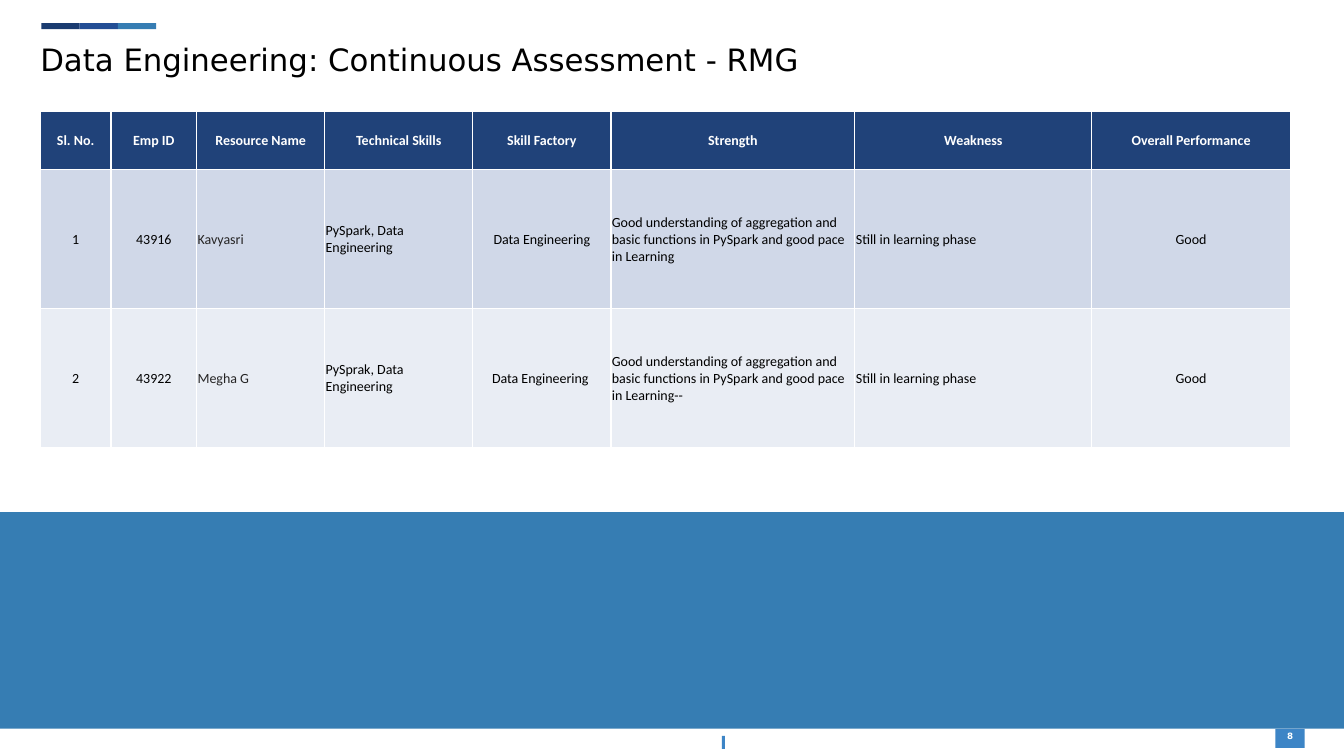
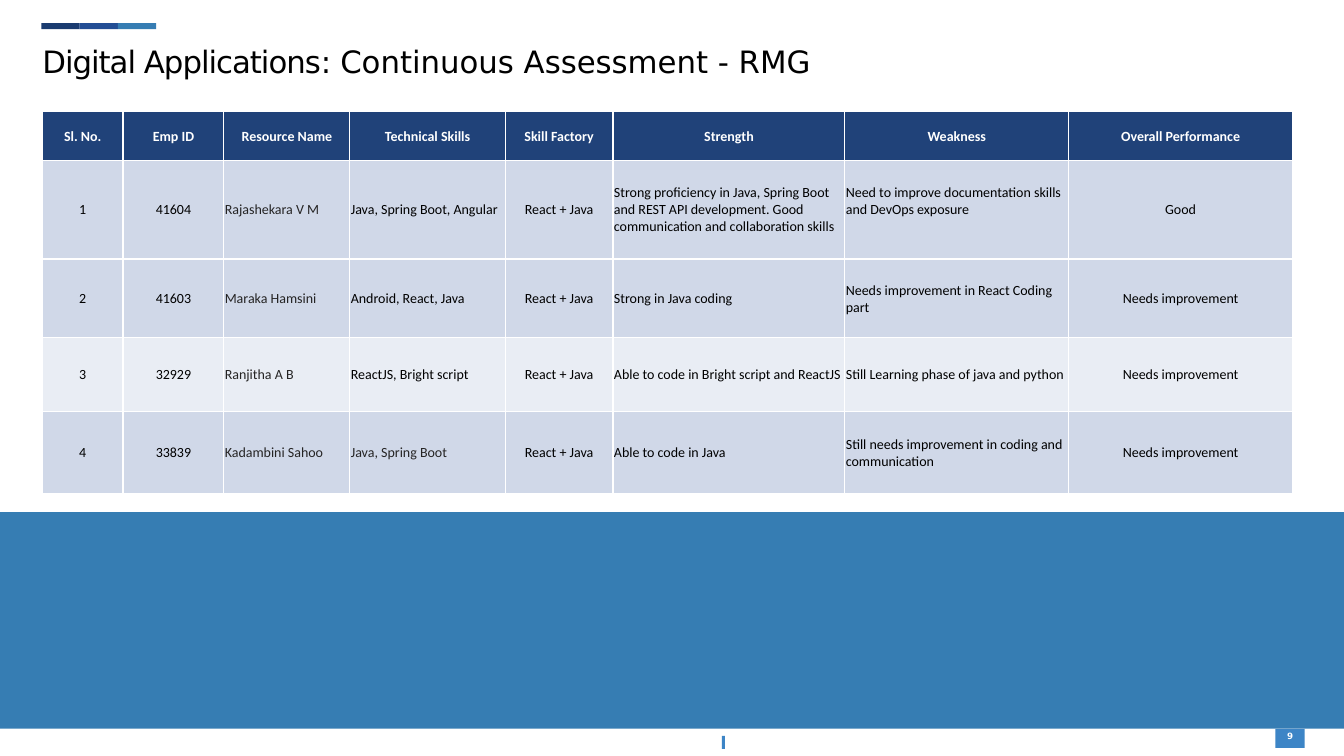
from lxml.etree import SubElement
from pptx import Presentation
from pptx.dml.color import RGBColor
from pptx.enum.shapes import MSO_SHAPE
from pptx.enum.text import MSO_ANCHOR, PP_ALIGN
from pptx.oxml.ns import qn
from pptx.util import Inches, Pt

WHITE, BLACK, GREY = "FFFFFF", "000000", "252424"
NAVY, ROYAL, BLUE, SKY = "1A3B70", "234E95", "367DB3", "3D85C6"
HEAD, DARK, PALE = "204279", "D0D8E8", "E9EDF4"
SANS, BODY = "DejaVu Sans", "Calibri"
WIDE, HIGH = 13.33, 7.5
LABELS = ["Sl. No.", "Emp ID", "Resource Name", "Technical Skills",
          "Skill Factory", "Strength", "Weakness", "Overall Performance"]
NAME = 2
LEFT = {NAME, 3, 5, 6}


def color(value):
    return RGBColor.from_string(value)


def style(font, face, size, value, bold=False):
    font.name = face
    font.size = Pt(size)
    font.bold = bold
    font.color.rgb = color(value)


def inset(item, left, top, right, bottom):
    item.margin_left, item.margin_top = Inches(left), Inches(top)
    item.margin_right, item.margin_bottom = Inches(right), Inches(bottom)


def block(slide, left, top, width, height, value):
    shape = slide.shapes.add_shape(
        MSO_SHAPE.RECTANGLE, Inches(left), Inches(top), Inches(width), Inches(height))
    shape.shadow.inherit = False
    shape.fill.solid()
    shape.fill.fore_color.rgb = color(value)
    shape.line.fill.background()
    return shape


def add_frame(slide, number):
    block(slide, 7.16, 7.3, 0.03, 0.13, SKY)
    for index, value in enumerate([NAVY, ROYAL, BLUE]):
        block(slide, 0.41 + index * 0.38, 0.23, 0.38, 0.06, value)
    block(slide, 0, 5.08, WIDE, 2.15, BLUE)
    frame = block(slide, 12.65, 7.23, 0.29, 0.19, SKY).text_frame
    inset(frame, 0, 0.02, 0, 0)
    frame.vertical_anchor = MSO_ANCHOR.TOP
    frame.text = str(number)
    line = frame.paragraphs[0]
    line.alignment = PP_ALIGN.CENTER
    style(line.runs[0].font, SANS, 6.2, WHITE, True)


def add_title(slide, left, top, width, height, parts):
    frame = slide.shapes.add_textbox(
        Inches(left), Inches(top), Inches(width), Inches(height)).text_frame
    frame.word_wrap = True
    inset(frame, 0, 0, 0, 0)
    for text, space in parts:
        run = frame.paragraphs[0].add_run()
        run.text = text
        style(run.font, SANS, 22, BLACK)
        run.font._element.set("spc", str(space))


def edge(cell):
    props = cell._tc.get_or_add_tcPr()
    for side in ("lnL", "lnR", "lnT", "lnB"):
        line = SubElement(props, qn(f"a:{side}"), w=str(Pt(1)))
        SubElement(SubElement(line, qn("a:solidFill")), qn("a:srgbClr"), val=WHITE)


def fill_cell(cell, text, fill, ink, bold, align):
    edge(cell)
    cell.fill.solid()
    cell.fill.fore_color.rgb = color(fill)
    cell.vertical_anchor = MSO_ANCHOR.MIDDLE
    inset(cell, 0.01, 0.01, 0.01, 0)
    cell.text_frame.text = text
    line = cell.text_frame.paragraphs[0]
    line.alignment = align
    style(line.runs[0].font, BODY, 10, ink, bold)


def add_grid(slide, left, top, widths, heights, people, fills, soft=()):
    table = slide.shapes.add_table(
        len(heights), len(widths), Inches(left), Inches(top),
        Inches(sum(widths)), Inches(sum(heights))).table
    for column, width in zip(table.columns, widths):
        column.width = Inches(width)
    for row, height in zip(table.rows, heights):
        row.height = Inches(height)
    for r, (texts, fill) in enumerate(zip([LABELS] + people, [HEAD] + fills)):
        for c, text in enumerate(texts):
            first = r == 0
            ink = WHITE if first else GREY if c == NAME or (r, c) in soft else BLACK
            align = PP_ALIGN.LEFT if c in LEFT and not first else PP_ALIGN.CENTER
            fill_cell(table.cell(r, c), text, fill, ink, first, align)
    return table


def data_slide(slide):
    add_frame(slide, 8)
    add_title(slide, 0.4, 0.4, 9.12, 0.39,
              [("Data Engineering: Continuous Assessment - RMG", 0)])
    praise = ("Good understanding of aggregation and basic functions "
              "in PySpark and good pace in Learning")
    phase = "Still in learning phase"
    people = [
        ["1", "43916", "Kavyasri", "PySpark, Data Engineering",
         "Data Engineering", praise, phase, "Good"],
        ["2", "43922", "Megha G", "PySprak, Data Engineering",
         "Data Engineering ", praise + "--", phase, "Good"],
    ]
    add_grid(slide, 0.4, 1.11, [0.7, 0.85, 1.27, 1.47, 1.37, 2.42, 2.35, 1.97],
             [0.57, 1.38, 1.38], people, [DARK, PALE])


def apps_slide(slide):
    add_frame(slide, 9)
    add_title(slide, 0.42, 0.42, 12.18, 0.47,
              [("Digital Applications", -70), (": ", -50),
               ("Continuous Assessment - RMG", 0)])
    stack, grade = "React + Java", "Needs improvement"
    people = [
        ["1", "41604", "Rajashekara V M", "Java, Spring Boot, Angular", stack,
         "Strong proficiency in Java, Spring Boot and REST API development. "
         "Good communication and collaboration skills",
         "Need to improve documentation skills and DevOps exposure", "Good"],
        ["2", "41603", "Maraka Hamsini", "Android, React, Java", stack,
         "Strong in Java coding", "Needs improvement in React Coding part", grade],
        ["3", "32929", "Ranjitha A B", "ReactJS, Bright script", stack,
         "Able to code in Bright script and ReactJS",
         "Still Learning phase of java and python", grade],
        ["4", "33839", "Kadambini Sahoo", "Java, Spring Boot", stack,
         "Able to code in Java",
         "Still needs improvement in coding and communication", grade],
    ]
    table = add_grid(slide, 0.42, 1.11, [0.8, 1, 1.25, 1.54, 1.07, 2.3, 2.22, 2.22],
                     [0.48, 0.98, 0.78, 0.73, 0.82], people,
                     [DARK, DARK, PALE, DARK], {(4, 3)})
    table.cell(1, 6).margin_bottom = Inches(0.17)


def main():
    deck = Presentation()
    deck.slide_width, deck.slide_height = Inches(WIDE), Inches(HIGH)
    for build in (data_slide, apps_slide):
        build(deck.slides.add_slide(deck.slide_layouts[6]))
    deck.save("out.pptx")


if __name__ == "__main__":
    main()
